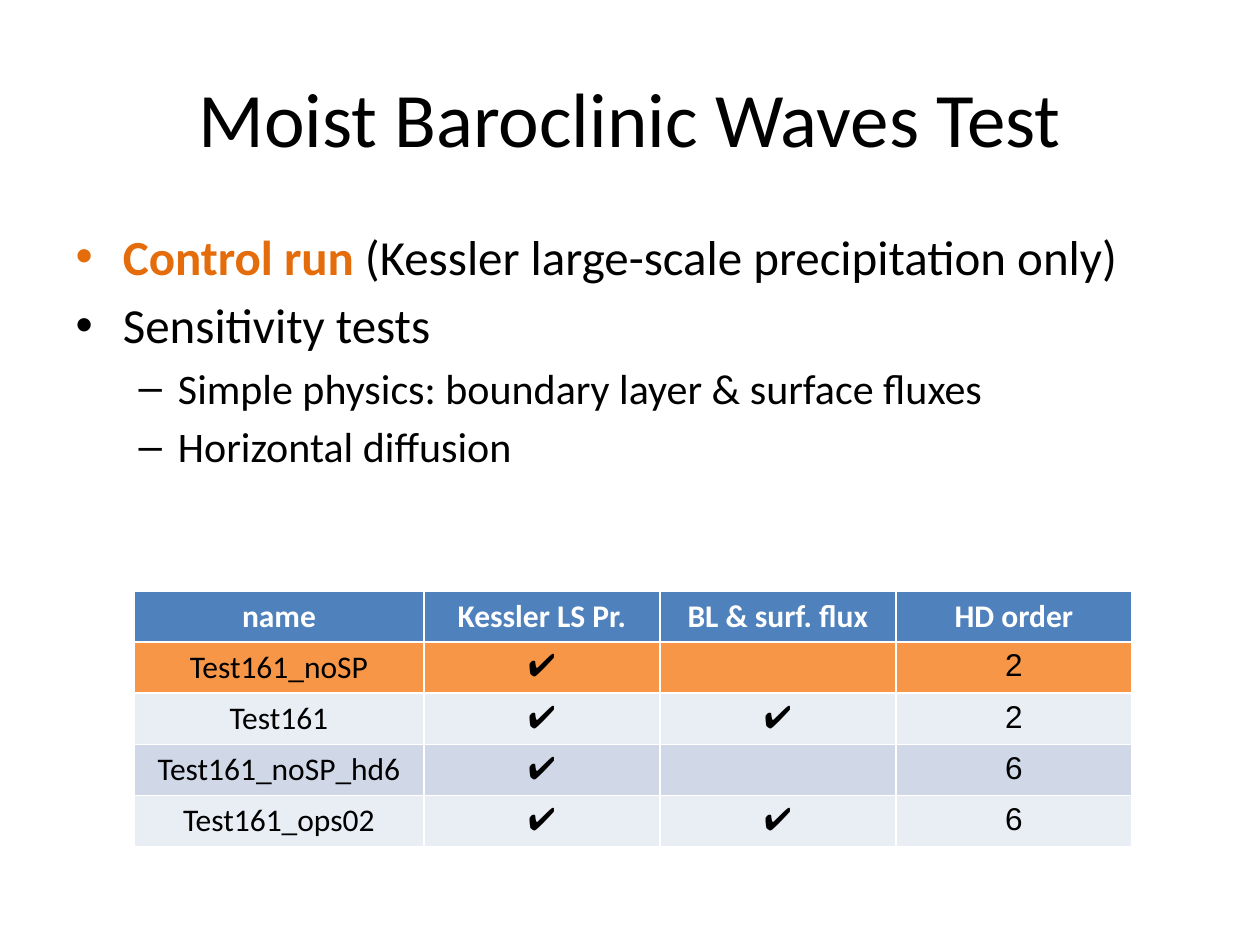
import pptx
import pptx.dml.color
import pptx.enum.text
import pptx.util

PX = 914400 // 126  # EMU per pixel
BLACK, WHITE, ORANGE = "000000", "FFFFFF", "E46C0A"


def colour(value):
    return pptx.dml.color.RGBColor.from_string(value)


def style(run, size, text_colour, bold=False, font="Calibri"):
    run.font.name = font
    run.font.size = pptx.util.Pt(size)
    run.font.bold = bold
    run.font.color.rgb = colour(text_colour)


deck = pptx.Presentation()
deck.slide_width = pptx.util.Inches(10)
deck.slide_height = pptx.util.Inches(7.5)
slide = deck.slides.add_slide(deck.slide_layouts[1])

# Title and body places
title, body = slide.placeholders
for holder, box in ((title, (63, 38, 1134, 157)), (body, (63, 220, 1134, 624))):
    holder.left, holder.top, holder.width, holder.height = [n * PX for n in box]

# Title
title.text_frame.text = "Moist Baroclinic Waves Test"
style(title.text_frame.paragraphs[0].runs[0], 44, BLACK)

# Outline of the experiments
outline = [
    (0, "Control run"),
    (0, "Sensitivity tests"),
    (1, "Simple physics: boundary layer & surface fluxes"),
    (1, "Horizontal diffusion"),
]
body.text_frame.text = "\n".join(text for level, text in outline)
for paragraph, (level, text) in zip(body.text_frame.paragraphs, outline):
    paragraph.level = level
    style(paragraph.runs[0], 24 if level else 28, BLACK)

control = body.text_frame.paragraphs[0]
style(control.runs[0], 28, ORANGE, bold=True)
remark = control.add_run()
remark.text = " (Kessler large-scale precipitation only)"
style(remark, 28, BLACK)

# Table of test runs
tests = [
    ("name", "Kessler LS Pr.", "BL & surf. flux", "HD order"),
    ("Test161_noSP", "✔", "", "2"),
    ("Test161", "✔", "✔", "2"),
    ("Test161_noSP_hd6", "✔", "", "6"),
    ("Test161_ops02", "✔", "✔", "6"),
]
row_fills = ["4F81BD", "F79646", "E9EDF4", "D0D8E8", "E9EDF4"]
column_widths = [290, 236, 236, 236]
row_height = 51

table = slide.shapes.add_table(
    len(tests), len(column_widths), 134 * PX, 591 * PX,
    sum(column_widths) * PX, len(tests) * row_height * PX).table
for column, width in zip(table.columns, column_widths):
    column.width = width * PX

for r, (test, row_fill) in enumerate(zip(tests, row_fills)):
    table.rows[r].height = row_height * PX
    header = r == 0
    for c, text in enumerate(test):
        cell = table.cell(r, c)
        cell.fill.solid()
        cell.fill.fore_color.rgb = colour(row_fill)
        if not text:
            continue
        cell.text_frame.text = text
        entry = cell.text_frame.paragraphs[0]
        entry.alignment = pptx.enum.text.PP_ALIGN.CENTER
        style(entry.runs[0], 18, WHITE if header else BLACK, bold=header,
              font="Calibri" if header or c == 0 else "Arial")

deck.save("out.pptx")
